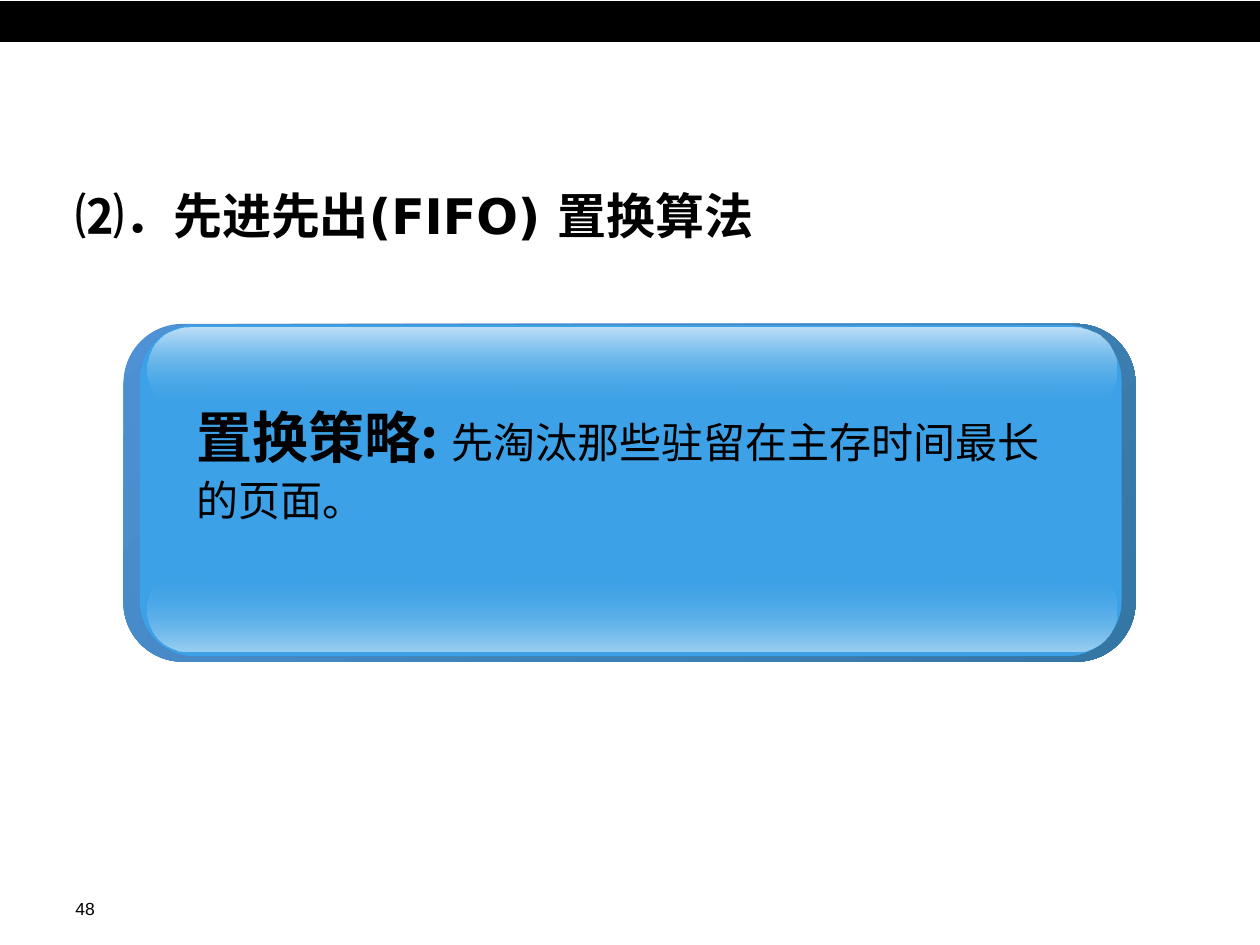
import dataclasses

import pptx
import pptx.dml.color
import pptx.enum.shapes
import pptx.oxml
import pptx.oxml.ns
import pptx.util

Cm = pptx.util.Cm
KIND = pptx.enum.shapes.MSO_SHAPE


@dataclasses.dataclass(frozen=True)
class Theme:
    ink: str = "000000"
    blue: str = "3CA1E6"
    rim: tuple = ("4E91D4", "3477A4")
    top: str = "BEE0F7"
    base: str = "9BCFF2"
    head: tuple = ("DejaVu Sans", 28, True)
    label: tuple = ("Noto Sans CJK SC", 32, True)
    body: tuple = ("Noto Sans CJK JP", 24, False)
    small: tuple = ("Arial", 10, False)


THEME = Theme()


def rgb(code):
    return pptx.dml.color.RGBColor.from_string(code)


def style(font, look):
    """Set one face for Latin and East Asian text, with size and weight."""
    font.name, size, font.bold = look
    font.size = pptx.util.Pt(size)
    font.color.rgb = rgb(THEME.ink)
    east = pptx.oxml.parse_xml(
        f'<a:ea {pptx.oxml.ns.nsdecls("a")} typeface="{font.name}"/>')
    font._element.append(east)


def text(shapes, box, *runs, gap=None):
    """Add a text box; runs are pairs of wording and look."""
    frame = shapes.add_textbox(*map(Cm, box)).text_frame
    frame.word_wrap = True
    para = frame.paragraphs[0]
    para.line_spacing = gap
    for words, look in runs:
        run = para.add_run()
        run.text = words
        style(para.font if len(runs) == 1 else run.font, look)


def block(shapes, kind, box, color=None, bend=None):
    """Add a preset shape without outline or shadow."""
    shape = shapes.add_shape(kind, *map(Cm, box))
    shape.shadow.inherit = False
    shape.line.fill.background()
    if bend is not None:
        shape.adjustments[0] = bend
    if color:
        shape.fill.solid()
        shape.fill.fore_color.rgb = rgb(color)
    return shape


def blend(shape, colors, angle, clear=None):
    """Fill with two colours; the stop numbered clear is transparent."""
    shape.fill.gradient()
    shape.fill.gradient_angle = 360 - angle
    for stop, color in zip(shape.fill.gradient_stops, colors):
        stop.color.rgb = rgb(color)
    tags = shape._element.spPr.findall(".//" + pptx.oxml.ns.qn("a:gs"))
    for spot, tag in enumerate(tags):
        tag.set("pos", str(spot * 100000))
        if spot == clear:
            tag[0].append(pptx.oxml.parse_xml(
                f'<a:alpha {pptx.oxml.ns.nsdecls("a")} val="0"/>'))


def panel(shapes):
    """Add the glossy button with the replacement policy."""
    group = shapes.add_group_shape().shapes
    pill = KIND.ROUNDED_RECTANGLE
    rim = block(group, pill, (2.49, 6.53, 20.4, 6.81), bend=0.175)
    blend(rim, THEME.rim, 45)
    block(group, pill, (2.82, 6.55, 19.79, 6.68), THEME.blue, 0.167)
    # Light along the lower and upper edges
    for y, colors, clear in ((11.46, (THEME.blue, THEME.base), 0),
                             (6.6, (THEME.top, THEME.blue), 1)):
        gloss = block(group, pill, (2.97, y, 19.53, 1.68), bend=0.5)
        blend(gloss, colors, 90, clear)
    text(group, (3.71, 7.85, 17.53, 3.23),
         ("置换策略: ", THEME.label),
         ("先淘汰那些驻留在主存时间最长的页面。", THEME.body), gap=1.1)


def main():
    deck = pptx.Presentation()
    deck.slide_width, deck.slide_height = Cm(25.4), Cm(19.05)
    shapes = deck.slides.add_slide(deck.slide_layouts[6]).shapes
    # Top band
    band = block(shapes, KIND.RECTANGLE, (0, 0.03, 25.4, 0.81), THEME.ink)
    band.line.color.rgb = rgb(THEME.ink)
    band.line.width = pptx.util.Pt(0.75)
    # Page number and heading
    text(shapes, (1.27, 17.98, 1.7, 0.64), ("48", THEME.small))
    text(shapes, (1.27, 3.61, 23.29, 1.93),
         ("⑵．先进先出(FIFO) 置换算法", THEME.head))
    panel(shapes)
    deck.save("out.pptx")


if __name__ == "__main__":
    main()
